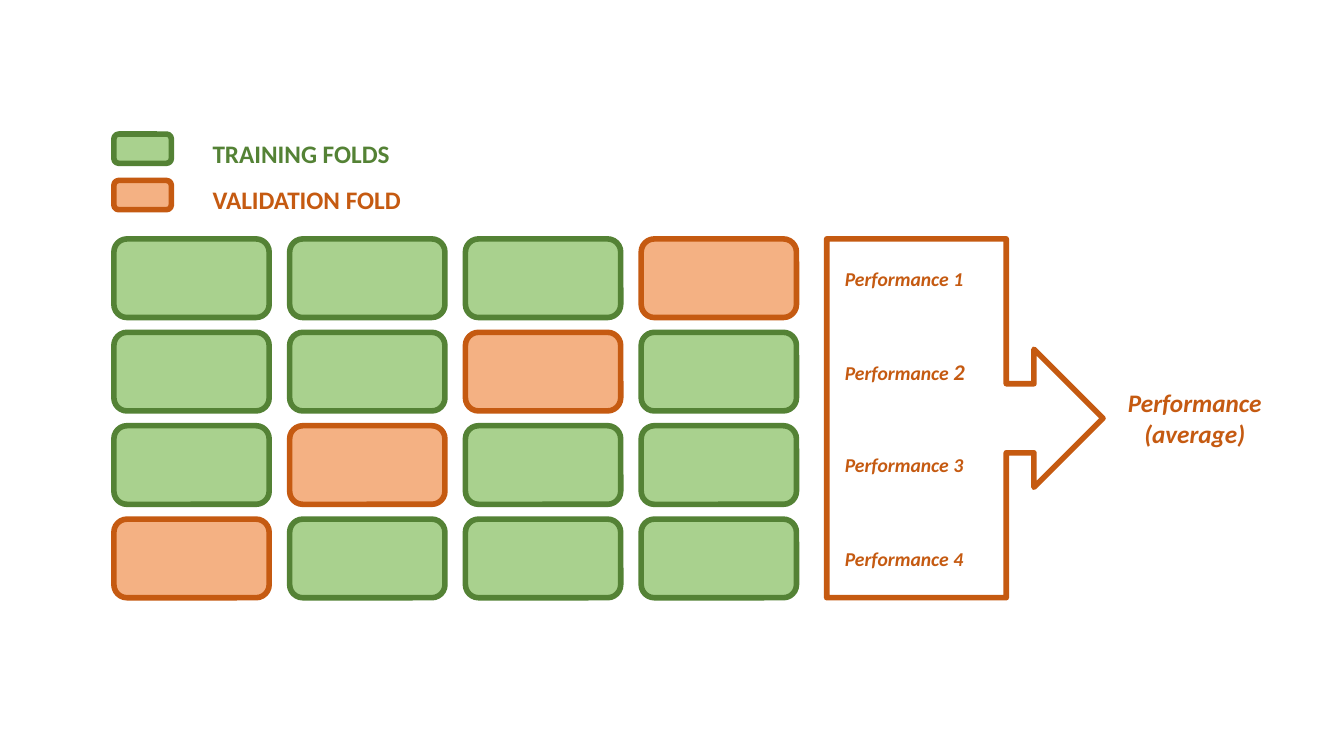
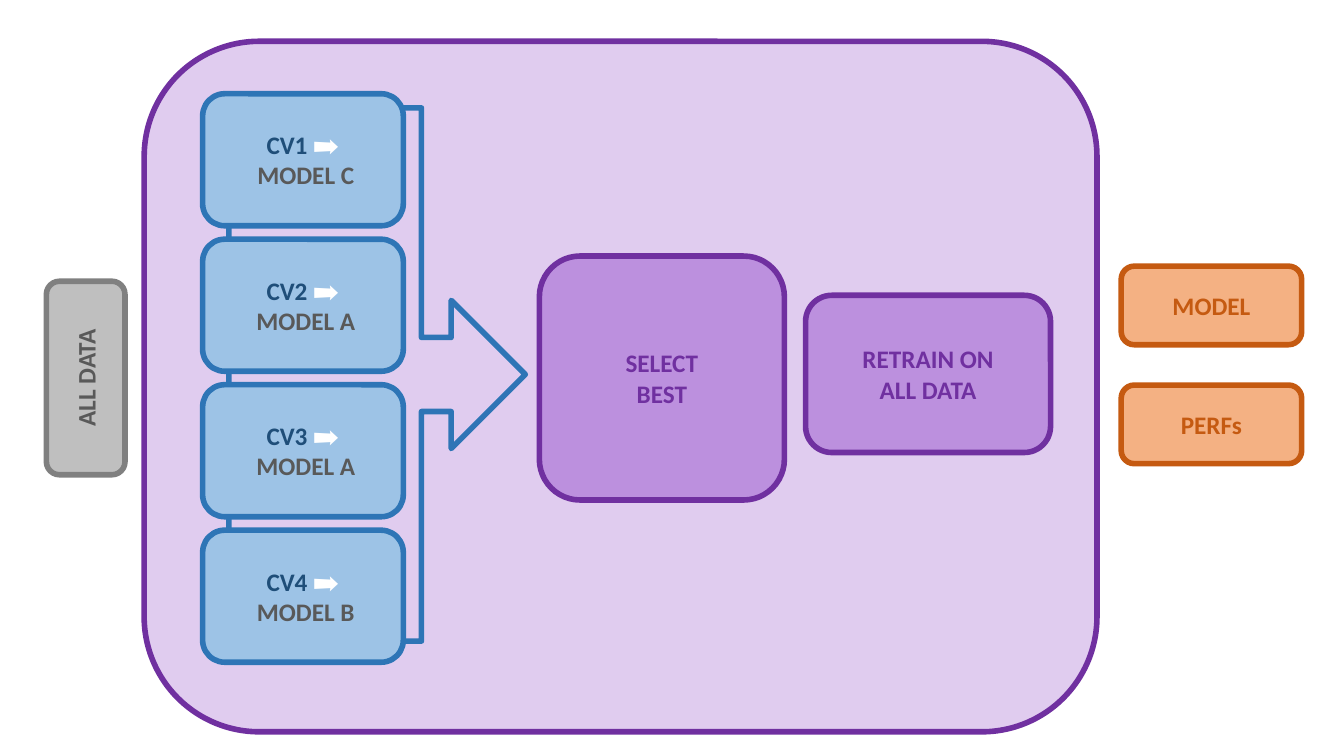
import pptx
import pptx.util
import pptx.dml.color
import pptx.enum.shapes
import pptx.enum.text
import pptx.oxml.ns
import lxml.etree

Inches = pptx.util.Inches
Kind = pptx.enum.shapes.MSO_SHAPE

GREEN = ("A9D18E", "548235")
ORANGE = ("F4B183", "C55A11")
BLUE = ("9DC3E6", "2E75B6")
PURPLE = ("BC90DE", "7030A0")
PANEL = ("C39BE1", "7030A0")
GRAY = ("BFBFBF", "808080")
NAVY = "1F4E79"
DARK = "595959"
WHITE = "FFFFFF"

BASE = {"name": "Calibri", "size": pptx.util.Pt(18), "bold": True}
SLANT = BASE | {"italic": True}
SMALL = SLANT | {"size": pptx.util.Pt(14)}
LARGE = SLANT | {"size": pptx.util.Pt(16)}
SIGN = BASE | {"name": "Arial", "bold": False}

FRAME = {
    "word_wrap": True,
    "vertical_anchor": pptx.enum.text.MSO_ANCHOR.MIDDLE,
}


def hue(code):
    return pptx.dml.color.RGBColor.from_string(code)


def apply(item, style):
    for key, value in style.items():
        setattr(item, key, value)


def spread(first, last, count):
    step = (last - first) / (count - 1)
    return [first + step * i for i in range(count)]


def write(shape, lines, align):
    frame = shape.text_frame
    apply(frame, FRAME)
    for i, line in enumerate(lines):
        para = frame.add_paragraph() if i else frame.paragraphs[0]
        para.alignment = align
        for text, color, style in line:
            run = para.add_run()
            run.text = text
            apply(run.font, style)
            run.font.color.rgb = hue(color)


def plain(text, color, style=BASE):
    return [[(part, color, style)] for part in text.split("\n")]


def draw(slide, kind, place, line, fill=None):
    shape = slide.shapes.add_shape(kind, *map(Inches, place))
    shape.shadow.inherit = False
    if fill:
        shape.fill.solid()
        shape.fill.fore_color.rgb = hue(fill)
    else:
        shape.fill.background()
    shape.line.color.rgb = hue(line)
    shape.line.width = pptx.util.Pt(4)
    return shape


def block(slide, place, theme, lines=()):
    fill, line = theme
    shape = draw(slide, Kind.ROUNDED_RECTANGLE, place, line, fill)
    write(shape, lines, pptx.enum.text.PP_ALIGN.CENTER)
    return shape


def callout(slide, place, theme):
    draw(slide, Kind.RIGHT_ARROW_CALLOUT, place, theme[1])


def label(slide, place, lines, align=pptx.enum.text.PP_ALIGN.LEFT):
    write(slide.shapes.add_textbox(*map(Inches, place)), lines, align)


def fade(shape, percent):
    qn = pptx.oxml.ns.qn
    color = next(shape.fill._xPr.iter(qn("a:srgbClr")))
    lxml.etree.SubElement(color, qn("a:alpha"), val=str(percent * 1000))


def folds(slide):
    ink = ORANGE[1]
    callout(slide, (8.2, 2.37, 2.74, 3.56), ORANGE)
    count = 4
    for row, top in enumerate(spread(2.37, 5.15, count)):
        for col, left in enumerate(spread(1.13, 6.36, count)):
            theme = ORANGE if row + col == count - 1 else GREEN
            block(slide, (left, top, 1.54, 0.78), theme)
        digit = LARGE if row == 1 else SMALL
        line = [("Performance ", ink, SMALL), (str(row + 1), ink, digit)]
        label(slide, (8.28, top, 2.02, 0.78), [line])

    legend = [("TRAINING FOLDS", GREEN), ("VALIDATION FOLD", ORANGE)]
    for top, (text, theme) in zip(spread(1.33, 1.79, 2), legend):
        block(slide, (1.13, top, 0.57, 0.29), theme)
        label(slide, (2.01, top - 0.01, 2.6, 0.4), plain(text, theme[1]))

    label(slide, (10.84, 3.79, 2.02, 0.71),
          plain("Performance\n(average)", ink, SLANT),
          pptx.enum.text.PP_ALIGN.CENTER)


def choice(slide):
    fade(block(slide, (1.43, 0.41, 9.45, 6.85), PANEL), 50)
    callout(slide, (2.27, 1.07, 2.94, 5.29), BLUE)
    for i, top in enumerate(spread(0.93, 5.26, 4)):
        lines = [
            [(f"CV{i + 1} ", NAVY, BASE), ("➡", WHITE, SIGN)],
            [(f" MODEL {'CAAB'[i]}", DARK, BASE)],
        ]
        block(slide, (2.01, top, 1.99, 1.31), BLUE, lines)

    steps = [
        ("SELECT\nBEST", (5.35, 2.54, 2.43, 2.42)),
        ("RETRAIN ON\nALL DATA", (7.99, 2.93, 2.43, 1.56)),
    ]
    for text, place in steps:
        block(slide, place, PURPLE, plain(text, PURPLE[1]))

    data = block(slide, (-0.11, 3.36, 1.92, 0.78), GRAY,
                 plain("ALL DATA", DARK))
    data.rotation = 270

    for text, top in [("MODEL", 2.64), ("PERFs", 3.82)]:
        block(slide, (11.12, top, 1.79, 0.78), ORANGE,
              plain(text, ORANGE[1]))


def main():
    deck = pptx.Presentation()
    apply(deck, {"slide_width": Inches(13.33), "slide_height": Inches(7.5)})
    for build in (folds, choice):
        build(deck.slides.add_slide(deck.slide_layouts[6]))
    deck.save("out.pptx")


if __name__ == "__main__":
    main()
